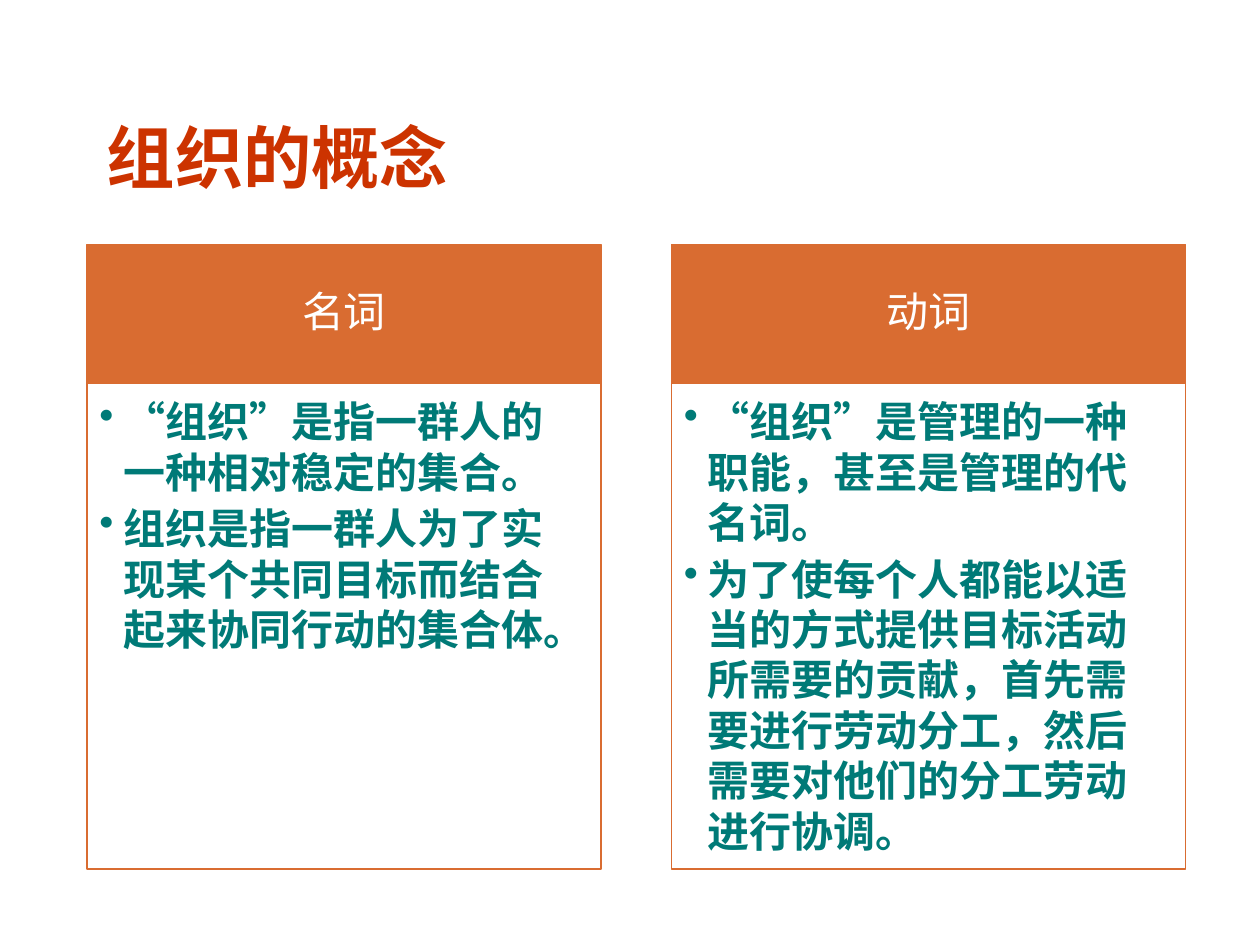
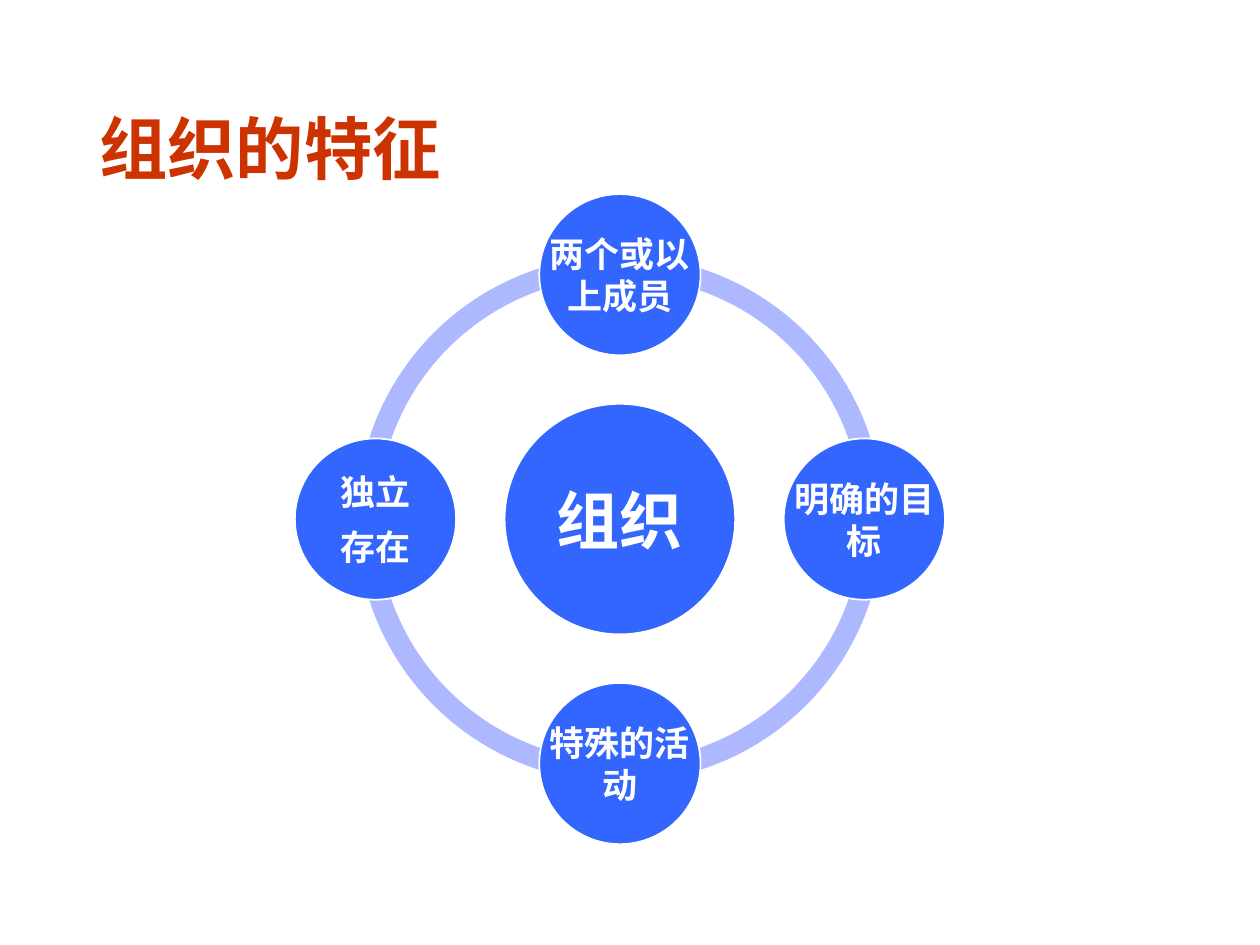
from math import cos, radians, sin

from lxml import etree
from pptx import Presentation
from pptx.dml.color import RGBColor
from pptx.enum.lang import MSO_LANGUAGE_ID
from pptx.enum.shapes import MSO_SHAPE
from pptx.enum.text import MSO_ANCHOR, PP_ALIGN
from pptx.oxml.ns import qn
from pptx.util import Inches, Pt

RECTANGLE, ELLIPSE, BLOCK_ARC = MSO_SHAPE.RECTANGLE, MSO_SHAPE.OVAL, MSO_SHAPE.BLOCK_ARC
LEFT, CENTER, JUSTIFY = PP_ALIGN.LEFT, PP_ALIGN.CENTER, PP_ALIGN.JUSTIFY
TOP, MIDDLE = MSO_ANCHOR.TOP, MSO_ANCHOR.MIDDLE
CHINESE = MSO_LANGUAGE_ID.SIMPLIFIED_CHINESE

WHITE = RGBColor(0xFF, 0xFF, 0xFF)
RED = RGBColor(0xCC, 0x33, 0x00)
ORANGE = RGBColor(0xD9, 0x6C, 0x31)
TEAL = RGBColor(0x00, 0x7A, 0x77)
BLUE = RGBColor(0x33, 0x66, 0xFF)
PALE_BLUE = RGBColor(0xAE, 0xB8, 0xFF)
FONT = "Arial"

COLUMNS = [
    ("名词", ["“组织”是指一群人的一种相对稳定的集合。",
            "组织是指一群人为了实现某个共同目标而结合起来协同行动的集合体。"]),
    ("动词", ["“组织”是管理的一种职能，甚至是管理的代名词。",
            "为了使每个人都能以适当的方式提供目标活动所需要的贡献，"
            "首先需要进行劳动分工，然后需要对他们的分工劳动进行协调。"]),
]
FEATURES = [["两个或以上成员"], ["明确的目标"], ["特殊的活动"], ["独立", "存在"]]


def write(frame, paragraphs, size, color, bold=True, align=LEFT, anchor=TOP,
          insets=(0.1, 0.05, 0.1, 0.05), after=0, spacing=None, hanging=0, bullet=None):
    """Fill a text frame with paragraphs in one format."""
    frame.word_wrap = True
    frame.vertical_anchor = anchor
    (frame.margin_left, frame.margin_top,
     frame.margin_right, frame.margin_bottom) = map(Inches, insets)
    for index, text in enumerate(paragraphs):
        paragraph = frame.add_paragraph() if index else frame.paragraphs[0]
        properties = paragraph._p.get_or_add_pPr()
        if hanging:
            properties.set("marL", str(Inches(hanging)))
            properties.set("indent", str(-Inches(hanging)))
        if bullet:
            etree.SubElement(properties, qn("a:buChar")).set("char", bullet)
        paragraph.alignment = align
        paragraph.space_after = Pt(after)
        if spacing:
            paragraph.line_spacing = spacing
        run = paragraph.add_run()
        run.text = text
        run.font.name = FONT
        run.font.size = Pt(size)
        run.font.bold = bold
        run.font.color.rgb = color
        run.font.language_id = CHINESE


class Deck:
    """Hold the presentation, its style and the current slide."""

    def __init__(self):
        self.presentation = Presentation()
        self.presentation.slide_width = Inches(10)
        self.presentation.slide_height = Inches(7.5)
        self.slide = None

    def start_slide(self, title, left, top):
        """Add a blank slide with its title."""
        self.slide = self.presentation.slides.add_slide(self.presentation.slide_layouts[6])
        self.label([title], left, top, 8.62, 0.63, size=39, color=RED,
                   align=JUSTIFY, spacing=0.8, hanging=0.38)

    def label(self, paragraphs, left, top, width, height, **style):
        """Add a text box."""
        box = self.slide.shapes.add_textbox(*map(Inches, (left, top, width, height)))
        write(box.text_frame, paragraphs, **style)

    def shape(self, preset, left, top, width, height, fill, line=None):
        """Add a flat preset shape."""
        shape = self.slide.shapes.add_shape(preset, *map(Inches, (left, top, width, height)))
        shape.shadow.inherit = False
        shape.fill.solid()
        shape.fill.fore_color.rgb = fill
        if line is None:
            shape.line.fill.background()
        else:
            shape.line.color.rgb = line
            shape.line.width = Pt(1)
        return shape

    def column(self, heading, points, left, top):
        """Add a heading band over a framed bullet list."""
        width, band_height, list_height = 4.08, 1.1, 3.86
        band = self.shape(RECTANGLE, left, top, width, band_height, ORANGE, ORANGE)
        write(band.text_frame, [heading], 24, WHITE, bold=False, align=CENTER, anchor=MIDDLE,
              insets=(0.14, 0.08, 0.14, 0.08), after=8.4, spacing=0.9)
        panel = self.shape(RECTANGLE, left, top + band_height, width, list_height, WHITE, ORANGE)
        write(panel.text_frame, points, 24, TEAL, insets=(0.1, 0.1, 0.14, 0.16),
              after=3.6, hanging=0.19, bullet="•")

    def ring_arc(self, center_x, center_y, diameter, start, end):
        """Add a thin clockwise arc between two angles in degrees."""
        arc = self.shape(BLOCK_ARC, center_x - diameter / 2, center_y - diameter / 2,
                         diameter, diameter, PALE_BLUE)
        for index, value in enumerate((start * 0.6, end * 0.6, 0.04)):
            arc.adjustments[index] = value

    def circle(self, paragraphs, center_x, center_y, diameter, size, inset):
        """Add a filled circle with a centred label as wide as the circle."""
        frame = (center_x - diameter / 2, center_y - diameter / 2, diameter, diameter)
        self.shape(ELLIPSE, *frame, BLUE, WHITE)
        self.label(paragraphs, *frame, size=size, color=WHITE, align=CENTER, anchor=MIDDLE,
                   insets=(inset,) * 4, after=size * 0.35)


def build_concept(deck):
    """Build the slide on the two senses of the word."""
    deck.start_slide("组织的概念", 0.75, 0.99)
    for index, (heading, points) in enumerate(COLUMNS):
        deck.column(heading, points, 0.69 + index * 4.64, 1.94)


def build_features(deck):
    """Build the slide with the ring of features."""
    deck.start_slide("组织的特征", 0.69, 0.92)
    center_x, center_y, orbit = 4.92, 4.12, 1.94
    step = 360 // len(FEATURES)
    angles = [(270 + index * step) % 360 for index in range(len(FEATURES))]
    for angle in angles:
        deck.ring_arc(center_x, center_y, 4.18, angle, (angle + step) % 360)
    deck.circle(["组织"], center_x, center_y, 1.83, 36, 0.05)
    for feature, angle in zip(FEATURES, angles):
        deck.circle(feature, center_x + orbit * cos(radians(angle)),
                    center_y + orbit * sin(radians(angle)), 1.28, 20, 0.03)


def main():
    """Build and save the deck."""
    deck = Deck()
    build_concept(deck)
    build_features(deck)
    deck.presentation.save("out.pptx")


if __name__ == "__main__":
    main()
